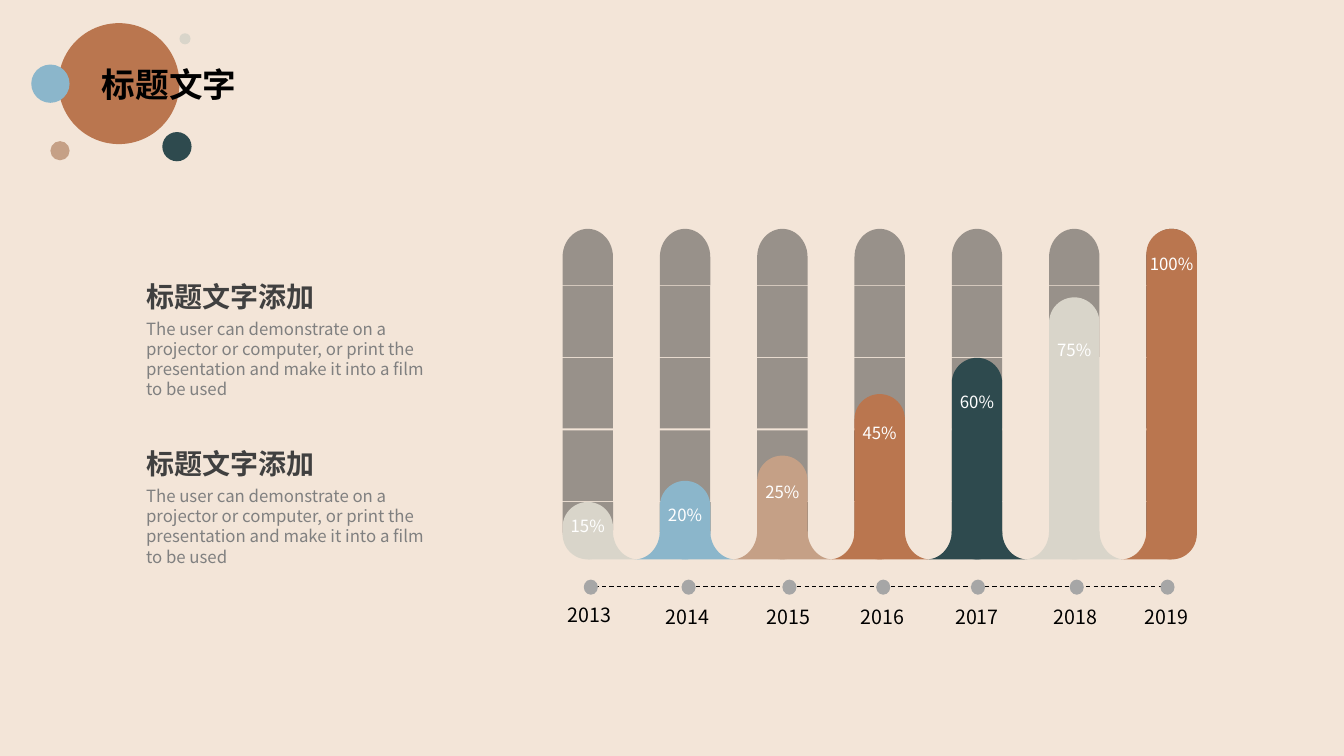
import math
from dataclasses import dataclass

import pptx
import pptx.util
import pptx.dml.color
import pptx.enum.dml
import pptx.enum.shapes
import pptx.enum.text
import pptx.oxml
import pptx.oxml.ns
from lxml import etree

Inches = pptx.util.Inches
SHAPE = pptx.enum.shapes.MSO_SHAPE
ALIGN = pptx.enum.text.PP_ALIGN
qn = pptx.oxml.ns.qn


@dataclass(frozen=True)
class Theme:
    font: str = "Noto Sans CJK SC"
    background: str = "F3E5D8"
    rust: str = "BA764F"
    sky: str = "8BB6CB"
    tan: str = "C5A086"
    teal: str = "2E4A4E"
    stone: str = "D9D5CA"
    track: str = "3E3E3D"
    dot: str = "A6A6A6"
    black: str = "000000"
    white: str = "FFFFFF"
    heading: str = "404040"
    body: str = "808080"
    title_size: int = 24
    heading_size: int = 20
    year_size: int = 14
    small_size: int = 12


class Deck:
    """Holds the theme, the slide and the shape tree being drawn into."""

    def __init__(self, theme):
        self.theme = theme
        self.prs = pptx.Presentation()
        self.prs.slide_width = Inches(13.33)
        self.prs.slide_height = Inches(7.5)
        self.s = self.prs.slides.add_slide(self.prs.slide_layouts[5])
        self.s.background.fill.solid()
        self.s.background.fill.fore_color.rgb = self.rgb(theme.background)
        self.shapes = self.s.shapes

    def rgb(self, color):
        return pptx.dml.color.RGBColor.from_string(color)

    def begin_group(self):
        self.shapes = self.s.shapes.add_group_shape().shapes

    def end_group(self):
        self.shapes = self.s.shapes

    def paint(self, sp, color, alpha=None):
        sp.shadow.inherit = False
        sp.line.fill.background()
        sp.fill.solid()
        sp.fill.fore_color.rgb = self.rgb(color)
        if alpha is not None:
            clr = sp._element.spPr.find(f"{qn('a:solidFill')}/{qn('a:srgbClr')}")
            etree.SubElement(clr, qn("a:alpha"), val=str(alpha * 1000))

    def shape(self, kind, x, y, w, h, color, alpha=None):
        sp = self.shapes.add_shape(kind, Inches(x), Inches(y), Inches(w), Inches(h))
        self.paint(sp, color, alpha)
        return sp

    def outline(self, points, color):
        (x, y), *rest = [(Inches(px), Inches(py)) for px, py in points]
        builder = self.shapes.build_freeform(x, y)
        builder.add_line_segments(rest)
        self.paint(builder.convert_to_shape(), color)

    def set_text(self, sp, text, size, color, align=ALIGN.LEFT, bold=False, wrap=True):
        tf = sp.text_frame
        tf.word_wrap = wrap
        tf.auto_size = pptx.enum.text.MSO_AUTO_SIZE.SHAPE_TO_FIT_TEXT
        tf.vertical_anchor = pptx.enum.text.MSO_ANCHOR.TOP
        p = tf.paragraphs[0]
        p.text = text
        p.alignment = align
        p.font.name = self.theme.font
        p.font.size = pptx.util.Pt(size)
        p.font.bold = bold
        p.font.color.rgb = self.rgb(color)
        latin = p._p.find(f".//{qn('a:latin')}")
        latin.addnext(latin.makeelement(qn("a:ea"), typeface=self.theme.font))

    def text(self, x, y, w, h, *args, **style):
        sp = self.shapes.add_textbox(Inches(x), Inches(y), Inches(w), Inches(h))
        self.set_text(sp, *args, **style)

    def title(self, x, y, w, h, text):
        sp = self.s.shapes.title
        sp.left, sp.top, sp.width, sp.height = map(Inches, (x, y, w, h))
        self.set_text(sp, text, self.theme.title_size, self.theme.black, bold=True, wrap=False)
        self.s.shapes._spTree.append(sp._element)  # bring to front

    def dashed_line(self, x1, x2, y):
        line = self.shapes.add_connector(
            pptx.enum.shapes.MSO_CONNECTOR.STRAIGHT,
            Inches(x1), Inches(y), Inches(x2), Inches(y))
        line.line.color.rgb = self.rgb(self.theme.black)
        line.line.width = pptx.util.Pt(0.75)
        line.line.dash_style = pptx.enum.dml.MSO_LINE.DASH
        etree.SubElement(line._element.spPr, qn("a:effectLst"))


BAR_W, PITCH, FIRST_X, BASE = 0.5, 0.965, 5.58, 5.55
CAP_H, FOOT_H = 0.56, 0.28


def draw_track(d, x, parts, solid_from):
    """Top cap, three blocks and bottom cap; parts from solid_from on are opaque."""
    cap_x = x - (CAP_H - BAR_W) / 2
    layout = [(2.3, 270)] + [(y, None) for y in (2.84, 3.55, 4.27)] + [(5.01, 90)]
    for i, (y, turn) in enumerate(layout[:parts]):
        alpha = 50 if i < solid_from else None
        if turn is None:
            d.shape(SHAPE.RECTANGLE, x, y, BAR_W, 0.7, d.theme.track, alpha)
        else:
            cap = d.shape(SHAPE.FLOWCHART_DELAY, cap_x, y, CAP_H, BAR_W, d.theme.track, alpha)
            cap.rotation = turn


def draw_foot(d, center, side, color):
    """Flare from the bar to the base line; side is -1 for left, 1 for right."""
    angles = [math.radians(a) for a in range(0, 91, 6)]
    arc = [(0.5 - 0.25 * math.cos(a), FOOT_H * math.sin(a)) for a in angles]
    points = [(0, 0), *arc, (0, FOOT_H)]
    d.outline([(center + side * x, BASE - FOOT_H + y) for x, y in points], color)


def main():
    t = Theme()
    d = Deck(t)

    # Title with its cluster of circles
    d.begin_group()
    for x, y, size, color in [
        (0.58, 0.23, 1.2, t.rust), (0.31, 0.64, 0.38, t.sky), (0.5, 1.4, 0.19, t.tan),
        (1.61, 1.31, 0.29, t.teal), (1.78, 0.33, 0.11, t.stone),
    ]:
        d.shape(SHAPE.OVAL, x, y, size, size, color)
    d.end_group()
    d.title(0.91, 0.58, 1.55, 0.5, "标题文字")

    # Bars: label, color, bar top, label top, track parts, first opaque part
    bars = [
        ("15%", t.stone, 4.98, 5.07, 5, 5),
        ("20%", t.sky, 4.77, 4.96, 5, 4),
        ("25%", t.tan, 4.52, 4.73, 5, 4),
        ("45%", t.rust, 3.91, 4.14, 5, 3),
        ("60%", t.teal, 3.55, 3.84, 5, 3),
        ("75%", t.stone, 2.95, 3.32, 2, 2),
        ("100%", t.rust, 2.27, 2.47, 5, 0),
    ]
    for i, (label, color, top, label_y, parts, solid_from) in enumerate(bars):
        x = FIRST_X + i * PITCH
        center = x + BAR_W / 2
        draw_track(d, x, parts, solid_from)
        if i < len(bars) - 1:
            draw_foot(d, center, 1, color)
        if i > 0:
            draw_foot(d, center, -1, color)
        bar = d.shape(SHAPE.ROUNDED_RECTANGLE, x, top, BAR_W, BASE - top, color)
        bar.adjustments[0] = 0.5
        d.text(center - 0.4, label_y, 0.8, 0.3, label, t.small_size, t.white, align=ALIGN.CENTER)

    # Timeline
    d.dashed_line(5.83, 11.61, 5.82)
    for i, x in enumerate([5.79, 6.76, 7.76, 8.69, 9.63, 10.61, 11.51]):
        d.shape(SHAPE.OVAL, x, 5.75, 0.14, 0.15, t.dot)
        d.text(x - 0.36, 5.95 if i else 5.93, 0.84, 0.34, str(2013 + i),
               t.year_size, t.black, align=ALIGN.CENTER)

    # Descriptions
    for y in (2.72, 4.38):
        d.begin_group()
        d.text(1.35, y + 0.39, 3.12, 0.91,
               "The user can demonstrate on a projector or computer, or print the "
               "presentation and make it into a film to be used", t.small_size, t.body)
        d.text(1.35, y, 1.88, 0.44, "标题文字添加", t.heading_size, t.heading,
               bold=True, wrap=False)
        d.end_group()

    d.prs.save("out.pptx")


if __name__ == "__main__":
    main()
